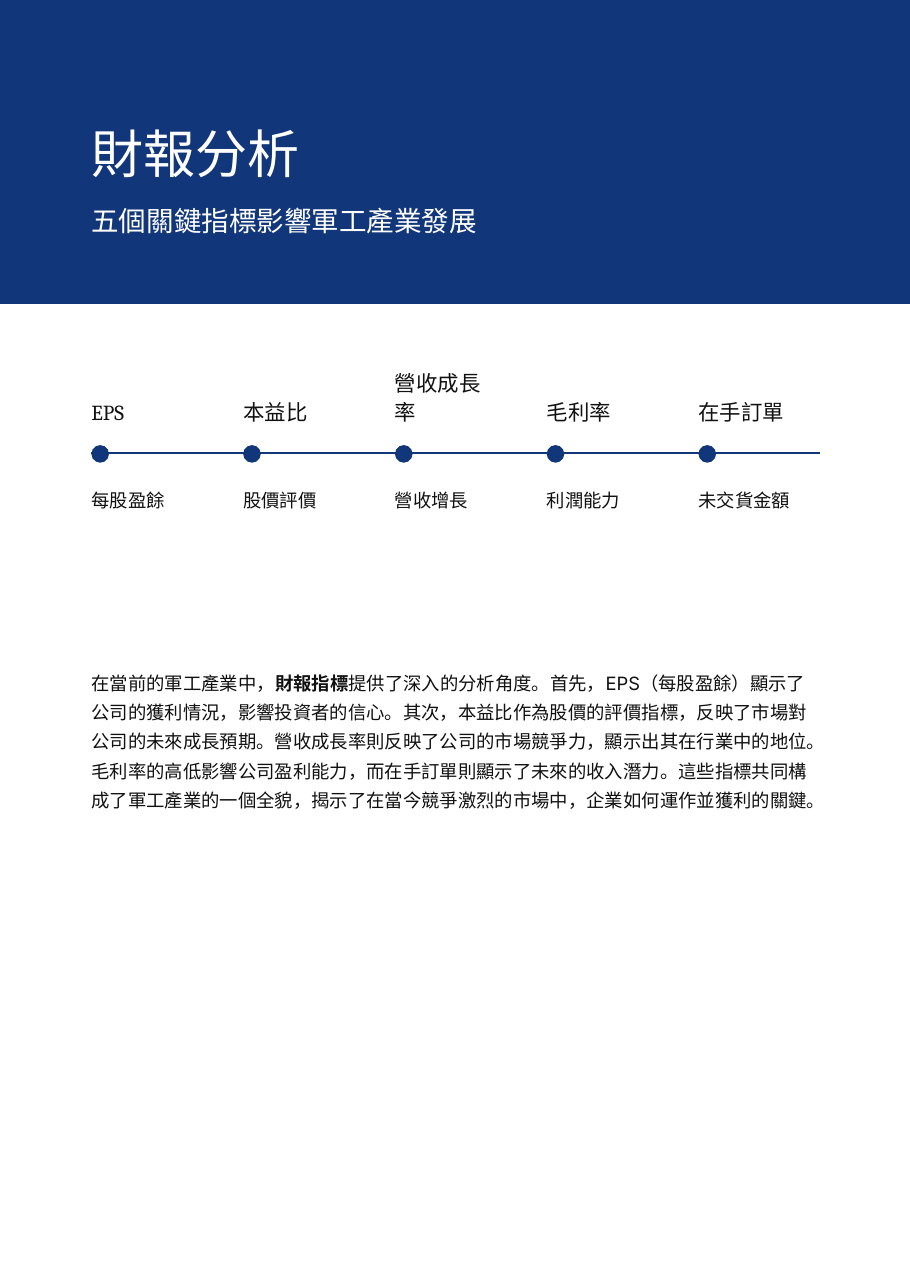
from dataclasses import dataclass

from lxml.etree import SubElement
from pptx import Presentation
from pptx.dml.color import RGBColor
from pptx.enum.shapes import MSO_CONNECTOR, MSO_SHAPE
from pptx.enum.text import MSO_ANCHOR, MSO_AUTO_SIZE, PP_ALIGN
from pptx.oxml.ns import qn
from pptx.util import Inches, Pt


@dataclass(frozen=True)
class Theme:
    navy: RGBColor = RGBColor(0x11, 0x36, 0x79)
    ink: RGBColor = RGBColor(0x11, 0x11, 0x11)
    white: RGBColor = RGBColor(0xFF, 0xFF, 0xFF)
    heading_font: str = "Cambria"
    body_font: str = "Inter"
    title_size: float = 34
    subtitle_size: float = 18
    label_size: float = 14
    body_size: float = 12


class ReportPage:
    def __init__(self, page, theme):
        self.page = page
        self.theme = theme

    def place(self, box, left, top, width, height):
        box.left, box.top = Inches(left), Inches(top)
        box.width, box.height = Inches(width), Inches(height)

    def fill_text(self, box, pieces, font, size, color, leading, anchor=MSO_ANCHOR.TOP):
        """Fill a box with one paragraph; pieces are (text, bold) pairs."""
        frame = box.text_frame
        frame.margin_left = frame.margin_right = 0
        frame.margin_top = frame.margin_bottom = 0
        frame.word_wrap = True
        frame.auto_size = MSO_AUTO_SIZE.NONE
        frame.vertical_anchor = anchor
        para = frame.paragraphs[0]
        para.alignment = PP_ALIGN.LEFT
        para.space_before = Pt(0)
        para.line_spacing = Pt(leading)
        for text, bold in pieces:
            span = para.add_run()
            span.text = text
            span.font.name = font
            span.font.size = Pt(size)
            span.font.bold = bold
            span.font.color.rgb = color

    def heading(self, box, text, area, font, size):
        self.place(box, *area)
        self.fill_text(box, [(text, False)], font, size, self.theme.white, size * 1.1)

    def text(self, pieces, area, font, size, leading, anchor=MSO_ANCHOR.TOP):
        box = self.page.shapes.add_textbox(*map(Inches, area))
        self.fill_text(box, pieces, font, size, self.theme.ink, leading, anchor)

    def shape(self, kind, area):
        shape = self.page.shapes.add_shape(kind, *map(Inches, area))
        shape.shadow.inherit = False
        shape.fill.solid()
        shape.fill.fore_color.rgb = self.theme.navy
        shape.line.fill.background()
        return shape

    def rule(self, left, right, y):
        line = self.page.shapes.add_connector(
            MSO_CONNECTOR.STRAIGHT, Inches(left), Inches(y), Inches(right), Inches(y))
        line.line.color.rgb = self.theme.navy
        line.line.width = Pt(1.5)
        SubElement(line.element.spPr, qn("a:effectLst"))


PAGE_WIDTH, PAGE_HEIGHT = 8.26, 11.69
LEFT, CONTENT_WIDTH = 0.83, 6.61
COLUMN_WIDTH, LABEL_WIDTH, DOT = 1.1, 0.9, 0.16

INDICATORS = [
    ("EPS", "每股盈餘"),
    ("本益比", "股價評價"),
    ("營收成長率", "營收增長"),
    ("毛利率", "利潤能力"),
    ("在手訂單", "未交貨金額"),
]

ANALYSIS = [
    ("在當前的軍工產業中，", False),
    ("財報指標", True),
    ("提供了深入的分析角度。首先，EPS（每股盈餘）顯示了公司的獲利情況，影響投資者的信心。"
     "其次，本益比作為股價的評價指標，反映了市場對公司的未來成長預期。"
     "營收成長率則反映了公司的市場競爭力，顯示出其在行業中的地位。"
     "毛利率的高低影響公司盈利能力，而在手訂單則顯示了未來的收入潛力。"
     "這些指標共同構成了軍工產業的一個全貌，揭示了在當今競爭激烈的市場中，"
     "企業如何運作並獲利的關鍵。", False),
]


def main():
    deck = Presentation()
    deck.slide_width, deck.slide_height = Inches(PAGE_WIDTH), Inches(PAGE_HEIGHT)
    page = deck.slides.add_slide(deck.slide_layouts[0])
    theme = Theme()
    report = ReportPage(page, theme)

    # Header band, kept behind the title and subtitle
    title, subtitle = page.shapes.title, page.placeholders[1]
    band = report.shape(MSO_SHAPE.RECTANGLE, (0, 0, PAGE_WIDTH, 2.76))
    title.element.addprevious(band.element)
    report.heading(title, "財報分析", (LEFT, 1.15, CONTENT_WIDTH, 0.53),
                   theme.heading_font, theme.title_size)
    report.heading(subtitle, "五個關鍵指標影響軍工產業發展", (LEFT, 1.88, CONTENT_WIDTH, 0.28),
                   theme.body_font, theme.subtitle_size)

    # Indicator timeline: label above, dot on the line, meaning below
    report.rule(LEFT, LEFT + CONTENT_WIDTH, 4.11)
    pitch = (CONTENT_WIDTH - COLUMN_WIDTH) / (len(INDICATORS) - 1)
    for index, (label, meaning) in enumerate(INDICATORS):
        x = LEFT + index * pitch
        report.shape(MSO_SHAPE.OVAL, (x, 4.04, DOT, DOT))
        report.text([(label, False)], (x, 3.32, LABEL_WIDTH, 0.54),
                    theme.heading_font, theme.label_size, 19.6, MSO_ANCHOR.BOTTOM)
        report.text([(meaning, False)], (x, 4.41, COLUMN_WIDTH, 0.23),
                    theme.body_font, theme.body_size, 16.8)

    # Analysis paragraph
    report.text(ANALYSIS, (LEFT, 6.03, CONTENT_WIDTH, 1.56),
                theme.body_font, theme.body_size, 19.2)

    deck.save("out.pptx")


if __name__ == "__main__":
    main()
